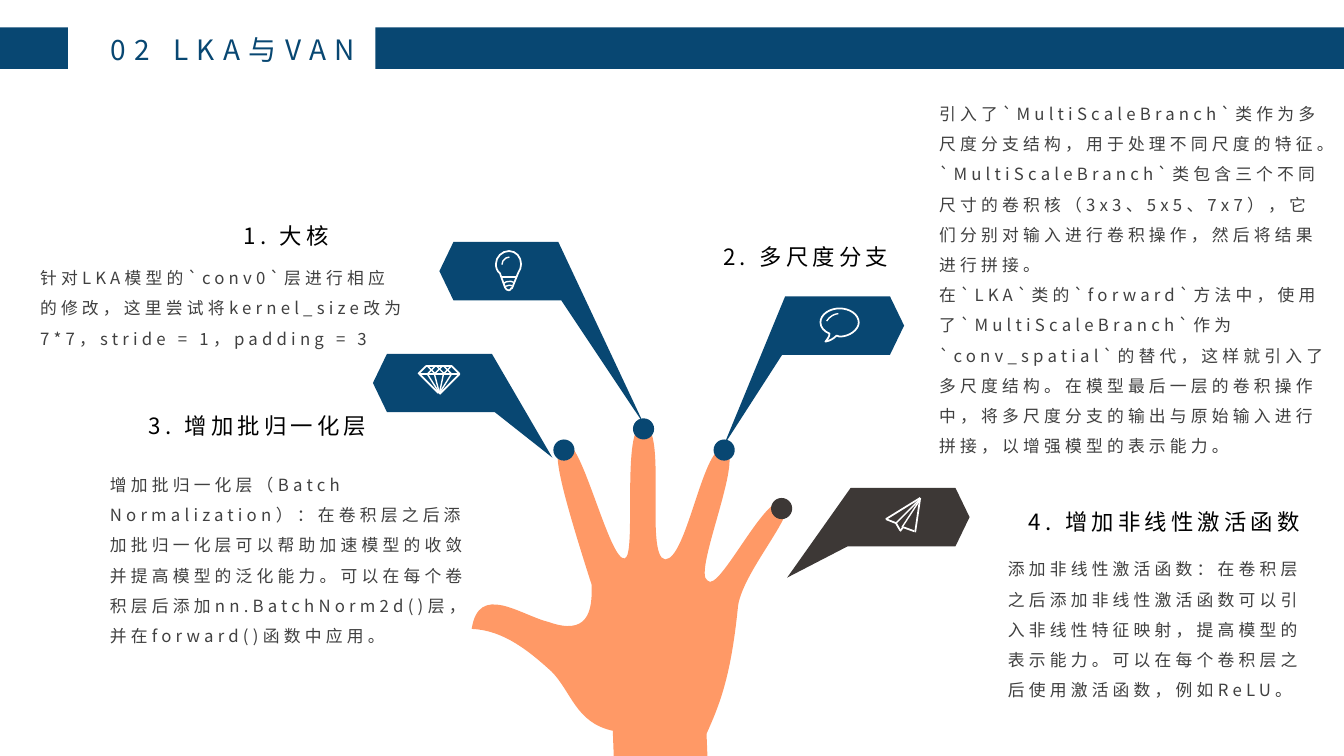
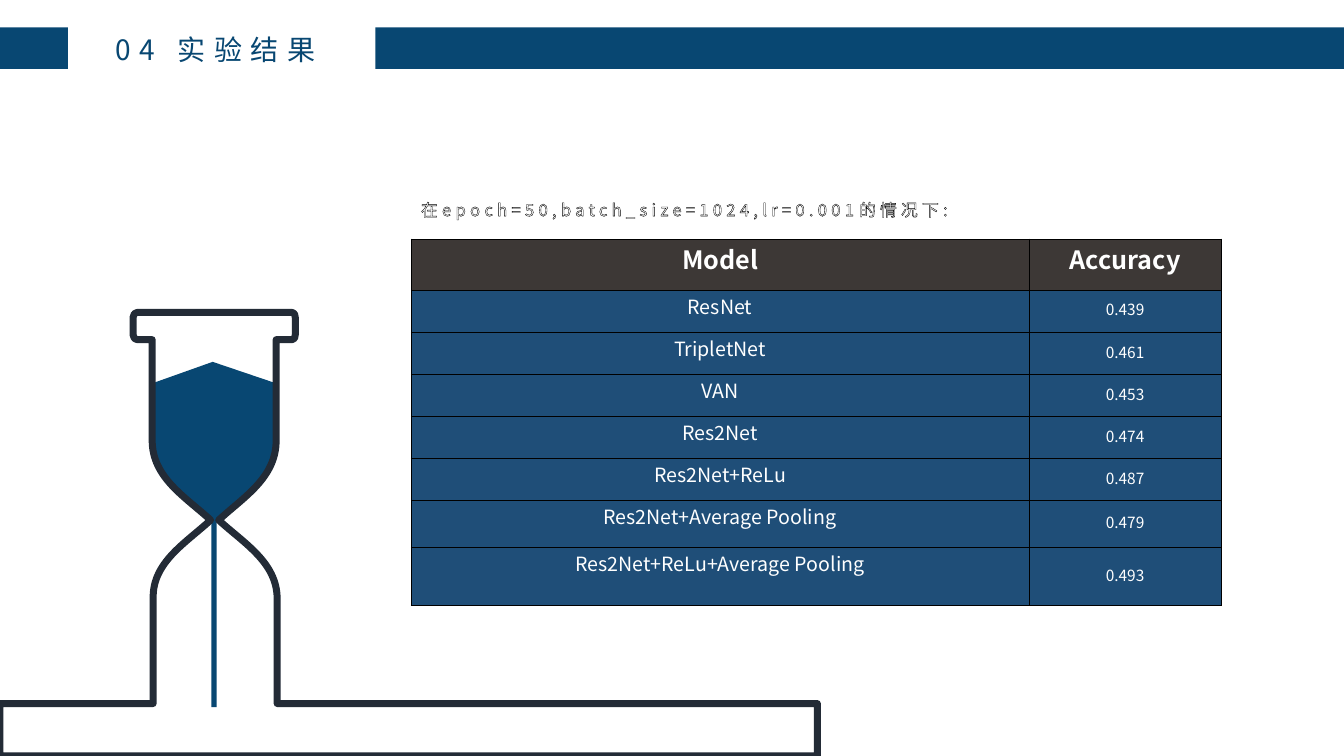
from dataclasses import dataclass

from lxml.etree import SubElement
from pptx import Presentation
from pptx.dml.color import RGBColor as Color
from pptx.enum.shapes import MSO_CONNECTOR as Link, MSO_SHAPE as Preset
from pptx.enum.text import MSO_ANCHOR as Anchor, MSO_AUTO_SIZE as Fit, PP_ALIGN as Align
from pptx.oxml import parse_xml
from pptx.oxml.ns import nsdecls, qn
from pptx.util import Cm, Pt


@dataclass(frozen=True)
class Theme:
    font: str = "Noto Sans CJK SC"
    navy: Color = Color.from_string("084772")
    brown: Color = Color.from_string("3D3836")
    skin: Color = Color.from_string("FF9966")
    ink: Color = Color.from_string("232B36")
    row: Color = Color.from_string("1F4E78")
    grey: Color = Color.from_string("404040")
    black: Color = Color.from_string("000000")
    white: Color = Color.from_string("FFFFFF")
    title: int = 20
    header: int = 18
    label: int = 16
    model: int = 14
    body: int = 12
    score: int = 11


theme = Theme()
GRID = Cm(2.54) // 100  # unit of every outline, icon and callout


def write(para, text, size, color, spacing=0, bold=False):
    """Add a run in the theme font, with letter spacing in points."""
    span = para.add_run()
    span.text = text
    font = span.font
    font.name, font.size, font.bold = theme.font, Pt(size), bold
    font.color.rgb = color
    props = span._r.get_or_add_rPr()
    if spacing:
        props.set("spc", str(spacing * 100))
    SubElement(props, qn("a:ea"), typeface=theme.font)
    return span


def draw_outline(page, steps, fill=None, stroke=None, width=0):
    """Draw a closed outline; pairs are corners, sextuples are Bézier curves."""
    vertices = [(step[i] * GRID, step[i + 1] * GRID)
                for step in steps for i in range(0, len(step), 2)]
    builder = page.shapes.build_freeform(*vertices[0])
    builder.add_line_segments(vertices[1:], close=True)
    shape = builder.convert_to_shape()
    # Each run of three segments that belongs to a curve becomes one Bézier
    segments = iter(list(shape._element.iter(qn("a:lnTo"))))
    for step in steps[1:]:
        segment = next(segments)
        if len(step) == 6:
            segment.tag = qn("a:cubicBezTo")
            for extra in (next(segments), next(segments)):
                segment.append(extra[0])
                extra.getparent().remove(extra)
    shape.shadow.inherit = False
    if fill is None:
        shape.fill.background()
    else:
        shape.fill.solid()
        shape.fill.fore_color.rgb = fill
    if stroke is None:
        shape.line.fill.background()
    else:
        shape.line.color.rgb = stroke
        shape.line.width = Pt(width)


deck = Presentation()
deck.slide_width, deck.slide_height = Cm(33.87), Cm(19.05)

# Shared header: two bands with the title between them
HEADER_TOP = 0.69
HEADERS = [("02 LKA与VAN", 1.96, 7.24), ("04 实验结果", 2.36, 5.84)]
BANDS = [(0, 1.71), (9.46, 24.41)]
pages = []
for heading, left, width in HEADERS:
    page = deck.slides.add_slide(deck.slide_layouts[5])
    pages.append(page)
    for band_left, band_width in BANDS:
        band = page.shapes.add_shape(Preset.RECTANGLE, Cm(band_left), Cm(HEADER_TOP),
                                     Cm(band_width), Cm(1.05))
        band.shadow.inherit = False
        band.fill.solid()
        band.fill.fore_color.rgb = theme.navy
        band.line.fill.background()
    title = page.shapes.title
    title.left, title.top = Cm(left), Cm(HEADER_TOP)
    title.width, title.height = Cm(width), Cm(1.12)
    frame = title.text_frame
    frame.word_wrap, frame.auto_size = False, Fit.SHAPE_TO_FIT_TEXT
    frame.vertical_anchor = Anchor.TOP
    para = frame.paragraphs[0]
    para.alignment = Align.RIGHT
    write(para, heading, theme.title, theme.navy, spacing=6)
hand_page, result_page = pages

# Hand
draw_outline(hand_page, [
    (609, 751), (608, 725),
    (571, 717, 567, 686, 547, 666), (526, 647, 500, 625, 468, 624),
    (475, 578, 516, 610, 544, 617), (583, 631, 588, 607, 587, 580),
    (545, 449, 550, 444, 561, 440), (577, 435, 605, 558, 620, 554),
    (632, 551, 616, 421, 638, 422), (663, 422, 639, 553, 660, 555),
    (682, 555, 698, 436, 720, 445), (738, 455, 687, 569, 702, 576),
    (713, 590, 761, 485, 779, 498), (793, 507, 734, 570, 732, 604),
    (725, 672, 714, 699, 701, 728), (702, 752),
], fill=theme.skin)

# Callouts: arrow point (x, y of top), direction inwards, tail tip, fingertip dot
CALLOUTS = [
    (370, 351, 1, (548, 454), (549, 436), theme.navy),
    (436, 240, 1, (639, 421), (628, 415), theme.navy),
    (897, 294, -1, (718, 442), (708, 436), theme.navy),
    (962, 484, -1, (781, 573), (765, 494), theme.brown),
]
DOT = 21
for x, y, side, tip, dot_corner, color in CALLOUTS:
    draw_outline(hand_page, [
        tip, (x + side * 118, y), (x + side * 14, y), (x, y + 29),
        (x + side * 14, y + 58), (x + side * 121, y + 58),
    ], fill=color)
    dot_left, dot_top = dot_corner
    dot = hand_page.shapes.add_shape(Preset.OVAL, dot_left * GRID, dot_top * GRID,
                                     DOT * GRID, DOT * GRID)
    dot.shadow.inherit = False
    dot.fill.solid()
    dot.fill.fore_color.rgb = color
    dot.line.fill.background()

# Labels and descriptions: label box, then text box (left, top, width, height in cm)
NOTES = [
    ("1. 大核", (5.89, 5.47, 2.82, 0.94), (0.76, 6.37, 9.7, 2.46), [
        "针对LKA模型的`conv0`层进行相应的修改，这里尝试将kernel_size改为7*7，"
        "stride = 1，padding = 3"]),
    ("2. 多尺度分支", (17.98, 5.99, 4.85, 0.94), (23.42, 2.23, 10.31, 9.4), [
        "引入了`MultiScaleBranch`类作为多尺度分支结构，用于处理不同尺度的特征。"
        "`MultiScaleBranch`类包含三个不同尺寸的卷积核（3x3、5x5、7x7），"
        "它们分别对输入进行卷积操作，然后将结果进行拼接。",
        "在`LKA`类的`forward`方法中，使用了`MultiScaleBranch`作为`conv_spatial`的替代，"
        "这样就引入了多尺度结构。在模型最后一层的卷积操作中，"
        "将多尺度分支的输出与原始输入进行拼接，以增强模型的表示能力。"]),
    ("3. 增加批归一化层", (3.5, 10.26, 6.22, 0.94), (2.52, 11.58, 9.68, 4.78), [
        "增加批归一化层（Batch Normalization）：在卷积层之后添加批归一化层可以帮助"
        "加速模型的收敛并提高模型的泛化能力。可以在每个卷积层后添加nn.BatchNorm2d()层，"
        "并在forward()函数中应用。"]),
    ("4. 增加非线性激活函数", (25.68, 12.67, 7.57, 0.94), (25.15, 13.71, 8.08, 4.01), [
        "添加非线性激活函数：在卷积层之后添加非线性激活函数可以引入非线性特征映射，"
        "提高模型的表示能力。可以在每个卷积层之后使用激活函数，例如ReLU。"]),
]
for label, label_place, text_place, texts in NOTES:
    for place, lines, size, color, wrap, leading in [
        (label_place, [label], theme.label, theme.black, False, 1.0),
        (text_place, texts, theme.body, theme.grey, True, 1.5),
    ]:
        frame = hand_page.shapes.add_textbox(*map(Cm, place)).text_frame
        frame.word_wrap, frame.auto_size = wrap, Fit.SHAPE_TO_FIT_TEXT
        for index, line in enumerate(lines):
            para = frame.add_paragraph() if index else frame.paragraphs[0]
            para.line_spacing = leading
            write(para, line, size, color, spacing=3)

# Icons: speech bubble and bulb outlines
BUBBLE = [(833, 306), (843, 306, 852, 312, 852, 320), (852, 327, 843, 334, 833, 334),
          (830, 333), (827, 336, 824, 338, 819, 339), (820, 337, 823, 335, 823, 331),
          (818, 329, 814, 325, 814, 320), (814, 312, 823, 306, 833, 306)]
BULB = [(505, 249), (512, 249, 517, 255, 517, 262), (517, 265, 516, 268, 514, 271),
        (508, 286), (507, 286), (507, 287, 506, 288, 505, 288),
        (503, 288, 502, 287, 501, 285), (496, 271), (493, 269, 492, 265, 492, 262),
        (492, 255, 498, 249, 505, 249)]
for icon in (BUBBLE, BULB):
    draw_outline(hand_page, icon, stroke=theme.white, width=1.25)

# Icons: strokes of the bulb, diamond and paper plane, by line width
STROKES = {
    1.25: [
        (497, 275, 512, 275),
        (423, 363, 448, 363), (448, 363, 456, 371), (456, 371, 436, 391),
        (435, 390, 416, 371), (423, 363, 415, 371),
        (913, 494, 879, 515), (879, 515, 889, 519), (889, 519, 893, 526),
        (893, 527, 896, 523), (896, 523, 907, 527), (913, 494, 908, 528),
    ],
    1: [
        (417, 371, 455, 371),
        *[(436, 390, x, 371) for x in (424, 431, 440, 448)],
        *[(x, 363, x + 8, 371) for x in (424, 433, 440)],
        *[(x, 363, x - 8, 371) for x in (432, 439, 448)],
        (912, 496, 889, 519), (912, 497, 895, 523),
    ],
}
for width, strokes in STROKES.items():
    for ends in strokes:
        stroke = hand_page.shapes.add_connector(Link.STRAIGHT, *[end * GRID for end in ends])
        stroke.line.color.rgb = theme.white
        stroke.line.width = Pt(width)
        SubElement(stroke._element.spPr, qn("a:effectLst"))

# Icons: arcs as left, top, size, rotation, start and end
ARCS = [(818, 311, 31, 301.2, 162, 193.58), (498, 255, 15, 270, 162, 215.5),
        (497, 279, 17, 309, 168.25, 210.6), (498, 283, 15, 300, 175.25, 210.13)]
for left, top, size, rotation, start, end in ARCS:
    arc = hand_page.shapes.add_shape(Preset.ARC, left * GRID, top * GRID,
                                     size * GRID, size * GRID)
    arc.shadow.inherit = False
    arc.rotation = rotation
    arc.adjustments[0], arc.adjustments[1] = start, end
    arc.fill.background()
    arc.line.color.rgb = theme.white
    arc.line.width = Pt(1)

# Hourglass: falling stream, sand, frame
stream = result_page.shapes.add_shape(Preset.RECTANGLE, Cm(5.33), Cm(13.06), Cm(0.13), Cm(4.76))
stream.shadow.inherit = False
stream.fill.solid()
stream.fill.fore_color.rgb = theme.navy
stream.line.fill.background()
draw_outline(result_page, [
    (152, 380), (211, 359), (273, 380), (273, 438), (273, 473, 241, 492, 217, 515),
    (209, 515), (184, 492, 152, 474, 152, 438),
], fill=theme.navy)
draw_outline(result_page, [
    (136, 310), (290, 310), (292, 310, 293, 312, 293, 315), (293, 332),
    (293, 335, 292, 337, 290, 337), (274, 337), (274, 437),
    (274, 474, 242, 493, 217, 516), (242, 539, 275, 558, 275, 594),
    (275, 698), (811, 698), (811, 750), (0, 750), (0, 698), (152, 698), (152, 594),
    (151, 558, 184, 539, 209, 516), (184, 493, 151, 474, 151, 437),
    (151, 337), (136, 337), (134, 337, 132, 335, 132, 332), (132, 315),
    (132, 312, 134, 310, 136, 310),
], stroke=theme.ink, width=5)

# Table of results
RESULTS = [("Model", "Accuracy"), ("ResNet", "0.439"), ("TripletNet", "0.461"),
           ("VAN", "0.453"), ("Res2Net", "0.474"), ("Res2Net+ReLu", "0.487"),
           ("Res2Net+Average Pooling", "0.479"), ("Res2Net+ReLu+Average Pooling", "0.493")]
COLUMN_WIDTHS = [15.57, 4.85]
ROW_HEIGHTS = [1.29] + [1.06] * 5 + [1.18, 1.46]
table = result_page.shapes.add_table(
    len(RESULTS), len(COLUMN_WIDTHS), Cm(10.36), Cm(6.02),
    Cm(sum(COLUMN_WIDTHS)), Cm(sum(ROW_HEIGHTS))).table
table.horz_banding = False
for column, width in zip(table.columns, COLUMN_WIDTHS):
    column.width = Cm(width)
for row_index, (values, height) in enumerate(zip(RESULTS, ROW_HEIGHTS)):
    table.rows[row_index].height = Cm(height)
    is_header = row_index == 0
    for column_index, value in enumerate(values):
        cell = table.cell(row_index, column_index)
        cell.margin_left = cell.margin_right = cell.margin_top = Cm(0.03)
        cell.margin_bottom = Cm(0.13)
        is_score = column_index == 1 and not is_header
        cell.vertical_anchor = Anchor.MIDDLE if is_score else Anchor.TOP
        for edge in "LRTB":
            cell._tc.get_or_add_tcPr().append(parse_xml(
                f'<a:ln{edge} {nsdecls("a")} w="{Pt(0.5)}"><a:solidFill>'
                f'<a:srgbClr val="{theme.black}"/></a:solidFill></a:ln{edge}>'))
        cell.fill.solid()
        cell.fill.fore_color.rgb = theme.brown if is_header else theme.row
        para = cell.text_frame.paragraphs[0]
        para.alignment = Align.CENTER
        size = theme.header if is_header else theme.score if is_score else theme.model
        write(para, value, size, theme.white, bold=is_header)

# Outlined caption above the table
frame = result_page.shapes.add_textbox(Cm(10.36), Cm(4.9), Cm(16.94), Cm(0.76)).text_frame
frame.word_wrap, frame.auto_size = True, Fit.SHAPE_TO_FIT_TEXT
span = write(frame.paragraphs[0], "在epoch=50,batch_size=1024,lr=0.001的情况下:",
             theme.body, theme.white, spacing=3)
span._r.get_or_add_rPr().insert(0, parse_xml(
    f'<a:ln {nsdecls("a")} w="{Pt(0.75)}"><a:solidFill>'
    f'<a:srgbClr val="{theme.black}"/></a:solidFill></a:ln>'))

deck.save("out.pptx")
